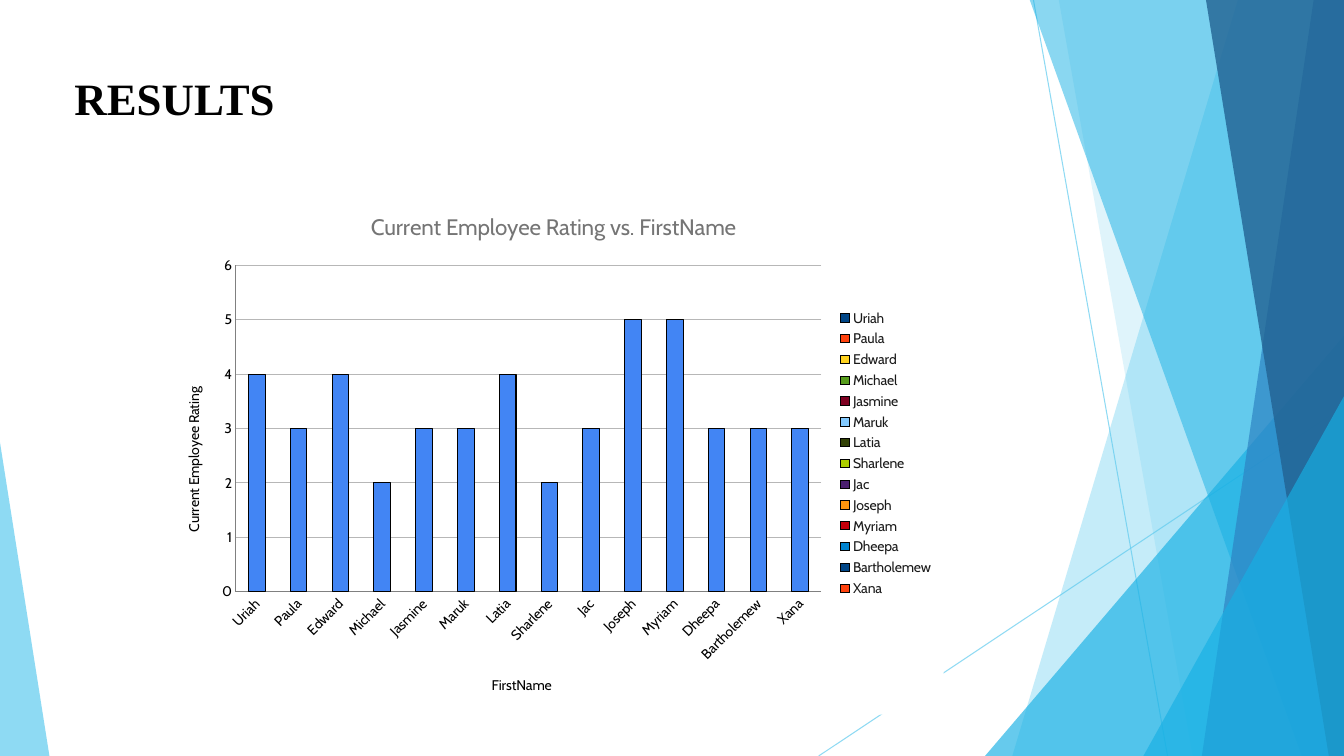
from typing import NamedTuple

from lxml.etree import SubElement
from pptx import Presentation
from pptx.chart.data import CategoryChartData
from pptx.dml.color import RGBColor
from pptx.enum.chart import XL_CHART_TYPE as ChartType, XL_LEGEND_POSITION as LegendPosition
from pptx.enum.chart import XL_TICK_MARK as TickMark
from pptx.enum.shapes import MSO_CONNECTOR as Connector, MSO_SHAPE as Shape
from pptx.oxml import parse_xml
from pptx.oxml.ns import nsdecls, qn
from pptx.util import Inches, Pt

COLORS = {
    "sky": "5FCBEF", "cyan": "17B0E4", "blue": "2E83C3", "navy": "226292",
    "black": "000000", "white": "FFFFFF", "bar": "4285F4", "grid": "B7B7B7",
    "title": "757575", "legend": "1A1A1A", "axis": "808080",
}
WIDTH, HEIGHT, TOP = 13.33, 7.5, -0.01
CHART_FONT = "Cabin"


class Ray(NamedTuple):
    start: tuple[float, float]
    end: tuple[float, float]


class Band(NamedTuple):
    """A strip from a slanted left edge to the right side of the page."""
    top_x: float
    bottom_x: float
    color: str
    opacity: int


class Wedge(NamedTuple):
    """A right triangle on the bottom edge; apex is 0 (left) or 1 (right)."""
    left: float
    top: float
    right: float
    apex: int
    color: str
    opacity: int


DECOR = [
    Ray((10.25, 0), (11.58, HEIGHT)),
    Ray((WIDTH, 4.03), (8.12, HEIGHT)),
    Band(12.28, 10.04, "sky", 36),
    Band(10.5, 11.83, "sky", 20),
    Wedge(9.77, 3.33, WIDTH, 1, "cyan", 66),
    Band(10.21, 12.91, "cyan", 50),
    Band(13.03, 11.92, "blue", 70),
    Band(11.96, 13.18, "navy", 80),
    Wedge(11.34, 3.93, WIDTH, 1, "cyan", 66),
    Wedge(0, 4.39, 0.49, 0, "sky", 70),
]
RATINGS = {
    "Uriah": 4, "Paula": 3, "Edward": 4, "Michael": 2, "Jasmine": 3,
    "Maruk": 3, "Latia": 4, "Sharlene": 2, "Jac": 3, "Joseph": 5,
    "Myriam": 5, "Dheepa": 3, "Bartholemew": 3, "Xana": 3,
}


def rgb(name: str) -> RGBColor:
    return RGBColor.from_string(COLORS[name])


def set_opacity(shape, percent: int) -> None:
    for color in shape._element.spPr.iter(qn("a:srgbClr")):
        SubElement(color, qn("a:alpha"), val=str(percent * 1000))


def format_font(font, size: int, color: str, name: str = CHART_FONT, bold: bool = False) -> None:
    values = {"size": Pt(size), "name": name, "bold": bold}
    for key, value in values.items():
        setattr(font, key, value)
    font.color.rgb = rgb(color)


def paint(shape, color: str, opacity: int) -> None:
    shape.shadow.inherit = False
    shape.fill.solid()
    shape.fill.fore_color.rgb = rgb(color)
    shape.line.fill.background()
    set_opacity(shape, opacity)


def draw_ray(page, ray: Ray) -> None:
    points = [Inches(value) for value in (*ray.start, *ray.end)]
    line = page.shapes.add_connector(Connector.STRAIGHT, *points)
    line.line.color.rgb = rgb("sky")
    line.line.width = Pt(0.75)
    set_opacity(line, 70)
    SubElement(line._element.spPr, qn("a:effectLst"))


def draw_band(page, band: Band) -> None:
    corners = [(band.top_x, TOP), (WIDTH, TOP), (WIDTH, HEIGHT), (band.bottom_x, HEIGHT)]
    points = [(Inches(x), Inches(y)) for x, y in corners]
    builder = page.shapes.build_freeform(*points[0])
    builder.add_line_segments(points[1:], close=True)
    paint(builder.convert_to_shape(), band.color, band.opacity)


def draw_wedge(page, wedge: Wedge) -> None:
    box = (wedge.left, wedge.top, wedge.right - wedge.left, HEIGHT - wedge.top)
    shape = page.shapes.add_shape(Shape.ISOSCELES_TRIANGLE, *map(Inches, box))
    shape.adjustments[0] = wedge.apex
    paint(shape, wedge.color, wedge.opacity)


def draw_heading(page, text: str) -> None:
    box = page.shapes.add_textbox(*map(Inches, (0.64, 0.65, 7.59, 0.64)))
    box.text_frame.word_wrap = True
    span = box.text_frame.paragraphs[0].add_run()
    span.text = text
    format_font(span.font, 32, "black", "Times New Roman", True)


def set_title(owner, text: str, size: int, color: str) -> None:
    frame = owner.text_frame
    frame.text = text
    format_font(frame.paragraphs[0].runs[0].font, size, color)


def format_axis(axis, title: str) -> None:
    values = {"major_tick_mark": TickMark.NONE, "minor_tick_mark": TickMark.NONE, "has_title": True}
    for key, value in values.items():
        setattr(axis, key, value)
    set_title(axis.axis_title, title, 10, "black")
    format_font(axis.tick_labels.font, 10, "black")
    axis.format.line.color.rgb = rgb("axis")


def finish_chart_xml(chart) -> None:
    space = chart._chartSpace
    # Slanted names and an upright value title
    rotations = {"//c:catAx/c:txPr/a:bodyPr": -45, "//c:valAx/c:title//a:bodyPr": -90}
    for query, degrees in rotations.items():
        for body in space.xpath(query):
            body.set("rot", str(degrees * 60000))
            body.set("vert", "horz")
    # White background
    space.find(qn("c:chart")).addnext(parse_xml(
        f'<c:spPr {nsdecls("c", "a")}><a:solidFill><a:srgbClr val="{COLORS["white"]}"/>'
        "</a:solidFill><a:ln><a:noFill/></a:ln></c:spPr>"))
    # Fixed plot area
    plot_area = space.xpath("//c:plotArea")[0]
    for old in plot_area.findall(qn("c:layout")):
        plot_area.remove(old)
    layout = SubElement(plot_area, qn("c:layout"))
    plot_area.insert(0, layout)
    manual = SubElement(layout, qn("c:manualLayout"))
    settings = {"layoutTarget": "inner", "xMode": "edge", "yMode": "edge",
                "x": 0.093, "y": 0.141, "w": 0.75, "h": 0.624}
    for tag, value in settings.items():
        SubElement(manual, qn(f"c:{tag}"), val=str(value))


def draw_chart(page) -> None:
    rating, name = "Current Employee Rating", "FirstName"
    data = CategoryChartData()
    data.categories = list(RATINGS)
    data.add_series(rating, list(RATINGS.values()))
    place = map(Inches, (1.62, 1.9, 7.74, 5.19))
    chart = page.shapes.add_chart(ChartType.COLUMN_CLUSTERED, *place, data).chart
    format_font(chart.font, 10, "black")
    chart.has_title = True
    set_title(chart.chart_title, f"{rating} vs. {name}", 16, "title")

    # Bars
    plot = chart.plots[0]
    plot.gap_width = 150
    plot.vary_by_categories = True
    bars = plot.series[0].format
    bars.fill.solid()
    bars.fill.fore_color.rgb = rgb("bar")
    bars.line.color.rgb = rgb("black")
    bars.line.width = Pt(0.75)

    # Axes
    format_axis(chart.category_axis, name)
    axis = chart.value_axis
    format_axis(axis, rating)
    for key, value in {"minimum_scale": 0, "maximum_scale": 6, "major_unit": 1}.items():
        setattr(axis, key, value)
    axis.major_gridlines.format.line.color.rgb = rgb("grid")
    axis.major_gridlines.format.line.width = Pt(0.75)

    # Legend
    chart.has_legend = True
    chart.legend.position = LegendPosition.RIGHT
    chart.legend.include_in_layout = False
    format_font(chart.legend.font, 10, "legend")
    finish_chart_xml(chart)


def main() -> None:
    deck = Presentation()
    deck.slide_width, deck.slide_height = Inches(WIDTH), Inches(HEIGHT)
    page = deck.slides.add_slide(deck.slide_layouts[6])
    painters = {Ray: draw_ray, Band: draw_band, Wedge: draw_wedge}
    for item in DECOR:
        painters[type(item)](page, item)
    draw_heading(page, "RESULTS")
    draw_chart(page)
    deck.save("out.pptx")


if __name__ == "__main__":
    main()
